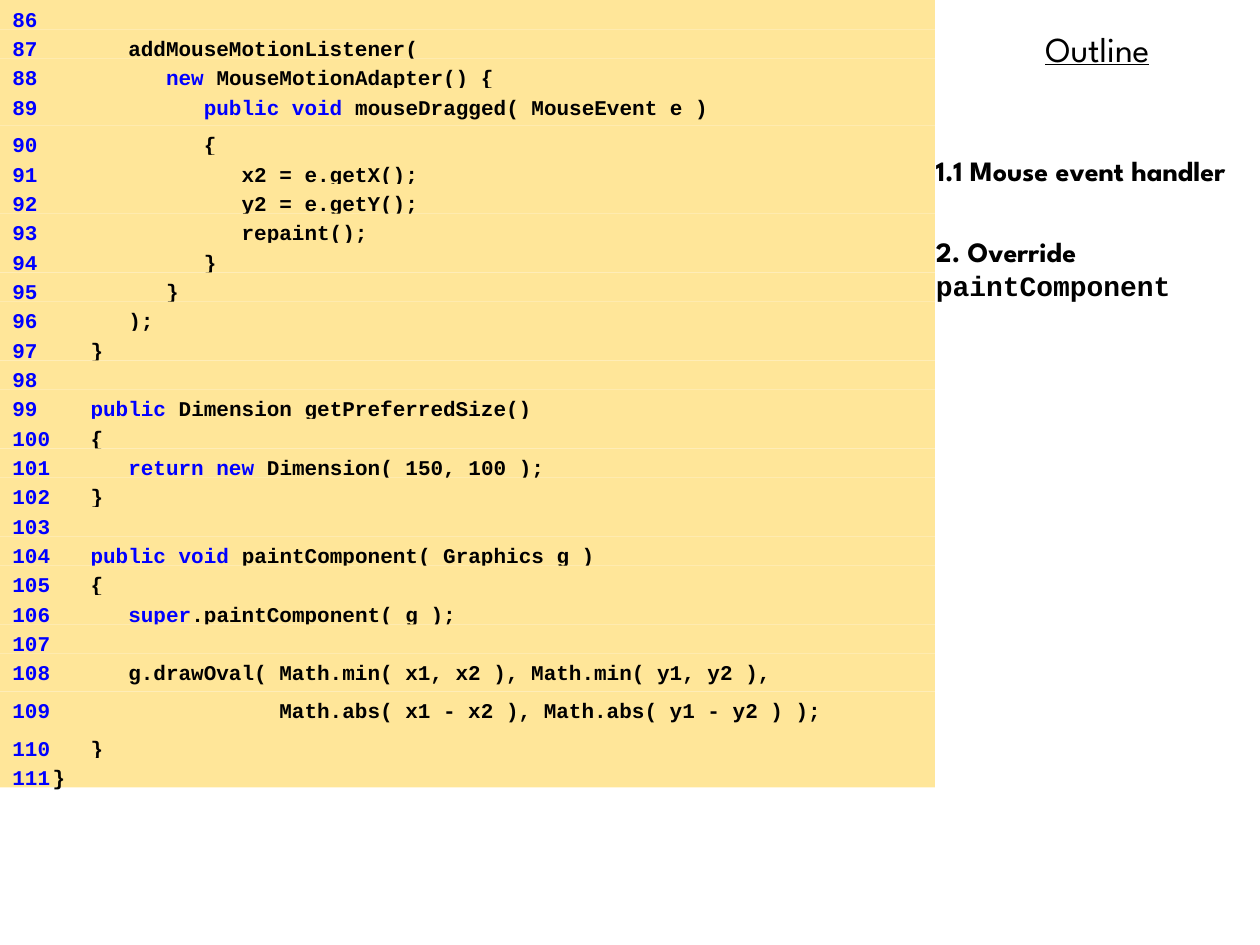
from dataclasses import dataclass

from lxml.etree import SubElement
from pptx import Presentation
from pptx.dml.color import RGBColor
from pptx.enum.shapes import MSO_SHAPE as Shape
from pptx.enum.text import MSO_ANCHOR as Anchor, PP_ALIGN as Align
from pptx.oxml.ns import qn
from pptx.util import Inches, Pt

SLIDE_W, SLIDE_H = 10, 7.5
CODE_W = SLIDE_W * 0.742
CODE_H = SLIDE_H / 1.2
TALL = 1.28  # height of a tall row, in normal rows
FIRST_NUMBER = 86
TABS = [(0, "l"), (0.15, "r"), (0.32, "l")] + [(n, "l") for n in range(1, 6)]
SANS, MONO = "League Spartan", "Courier New"
BLACK, BLUE, SAND = "000000", "0000FF", "FFE699"


@dataclass
class CodeLine:
    rest: str = ""
    keyword: str = ""
    rows: float = 1


@dataclass
class Piece:
    text: str
    font: str
    size: float
    color: str = BLACK
    bold: bool = True
    underline: bool = False


CODE = [
    CodeLine(),
    CodeLine("      addMouseMotionListener("),
    CodeLine(" MouseMotionAdapter() {", "         new"),
    CodeLine(" mouseDragged( MouseEvent e )", "            public void", TALL),
    CodeLine("            {"),
    CodeLine("               x2 = e.getX();"),
    CodeLine("               y2 = e.getY();"),
    CodeLine("               repaint();"),
    CodeLine("            }"),
    CodeLine("         }"),
    CodeLine("      );"),
    CodeLine("   }"),
    CodeLine(),
    CodeLine(" Dimension getPreferredSize()", "   public"),
    CodeLine("   {"),
    CodeLine(" Dimension( 150, 100 );", "      return new"),
    CodeLine("   }"),
    CodeLine(),
    CodeLine(" paintComponent( Graphics g )", "   public void"),
    CodeLine("   {"),
    CodeLine(".paintComponent( g );", "      super"),
    CodeLine(),
    CodeLine("      g.drawOval( Math.min( x1, x2 ), Math.min( y1, y2 ),", rows=TALL),
    CodeLine("                  Math.abs( x1 - x2 ), Math.abs( y1 - y2 ) );", rows=TALL),
    CodeLine("   }"),
    CodeLine("}"),
]


def rgb(value: str) -> RGBColor:
    return RGBColor.from_string(value)


def add_pieces(p, pieces: list[Piece]) -> None:
    for piece in pieces:
        r = p.add_run()
        r.text = piece.text
        r.font.name, r.font.size = piece.font, Pt(piece.size)
        r.font.bold, r.font.underline = piece.bold, piece.underline
        r.font.color.rgb = rgb(piece.color)


def add_tabs(p) -> None:
    tab_list = SubElement(p._p.get_or_add_pPr(), qn("a:tabLst"))
    for pos, align in TABS:
        SubElement(tab_list, qn("a:tab"), pos=str(Inches(pos)), algn=align)


def add_code_line(shapes, line: CodeLine, number: int, top: float, height: float) -> None:
    sp = shapes.add_shape(Shape.RECTANGLE, 0, Inches(top), Inches(CODE_W), Inches(height))
    sp.shadow.inherit = False
    sp.fill.solid()
    sp.fill.fore_color.rgb = rgb(SAND)
    sp.line.fill.background()
    tf = sp.text_frame
    tf.word_wrap = True
    tf.vertical_anchor = Anchor.TOP
    p = tf.paragraphs[0]
    p.alignment = Align.LEFT
    add_tabs(p)
    pieces = [Piece(f"\t{number}\t{line.keyword}", MONO, 12, BLUE)]
    if line.rest:
        pieces.append(Piece(line.rest, MONO, 12))
    add_pieces(p, pieces)


def add_text(slide, left: float, top: float, width: float, height: float,
             paragraphs: list[list[Piece]], align=Align.LEFT, gap: float = 0) -> None:
    box = slide.shapes.add_textbox(Inches(left), Inches(top), Inches(width), Inches(height))
    tf = box.text_frame
    tf.word_wrap = True
    for i, pieces in enumerate(paragraphs):
        p = tf.add_paragraph() if i else tf.paragraphs[0]
        p.alignment = align
        if i:
            p.space_before = Pt(gap)
        add_pieces(p, pieces)


def main() -> None:
    prs = Presentation()
    prs.slide_width, prs.slide_height = Inches(SLIDE_W), Inches(SLIDE_H)
    slide = prs.slides.add_slide(prs.slide_layouts[6])

    # Outline column
    add_text(slide, CODE_W, 0.17, SLIDE_W - CODE_W, 0.44,
             [[Piece("Outline", SANS, 20, bold=False, underline=True)]], Align.CENTER)
    side_left, side_top = SLIDE_W * 0.733, 1.17
    add_text(slide, side_left, side_top, SLIDE_W - side_left, SLIDE_H - side_top,
             [[Piece("1.1 Mouse event handler", SANS, 16)],
              [Piece("2. Override ", SANS, 16), Piece("paintComponent", MONO, 16)]],
             gap=27)

    # Code listing, one band per line
    listing = slide.shapes.add_group_shape()
    row_h = CODE_H / sum(line.rows for line in CODE)
    top = 0
    for number, line in enumerate(CODE, FIRST_NUMBER):
        height = line.rows * row_h
        add_code_line(listing.shapes, line, number, top, height)
        top += height

    prs.save("out.pptx")


if __name__ == "__main__":
    main()
